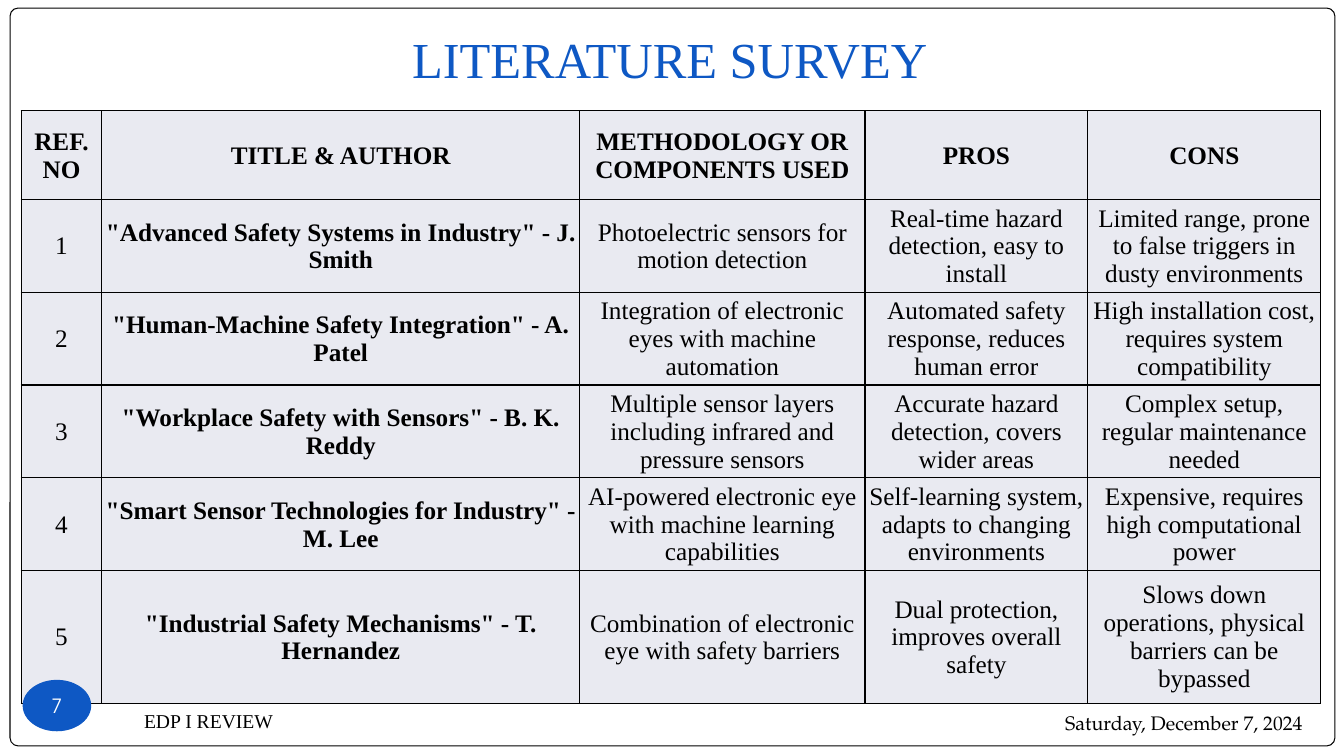
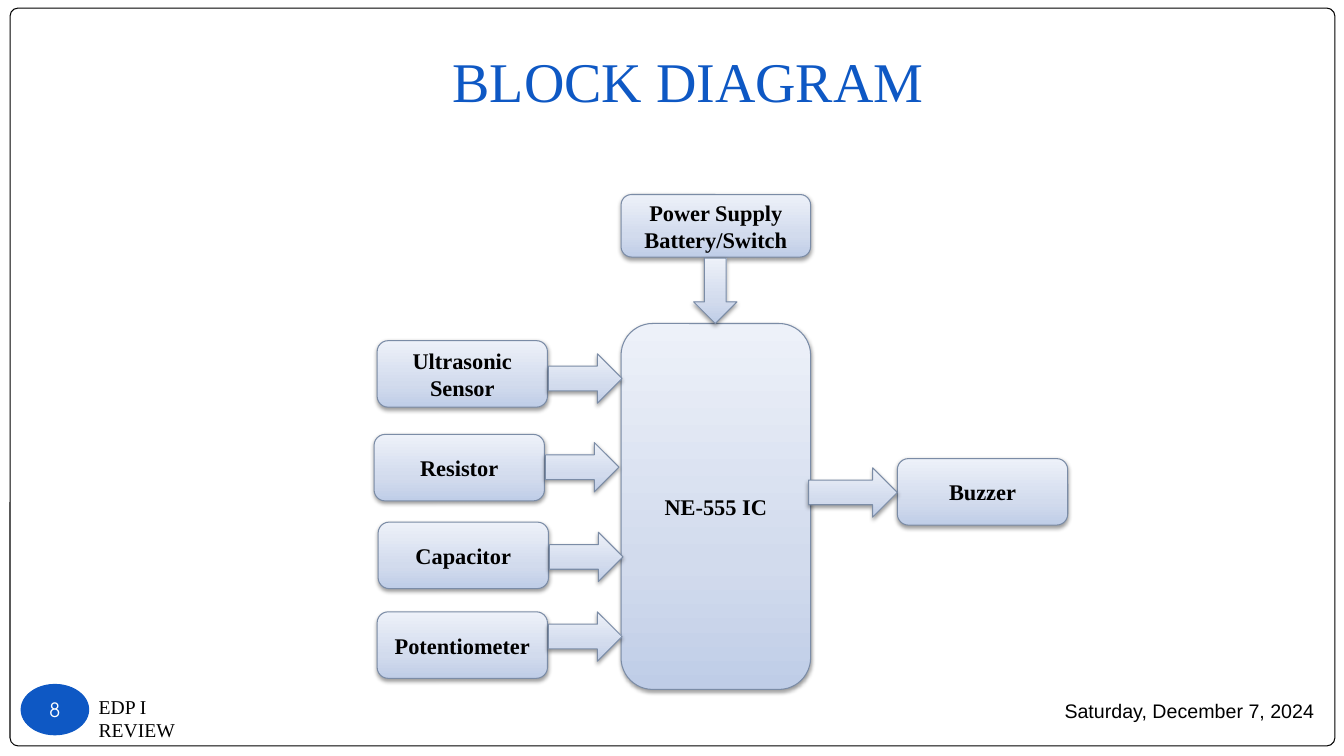
from lxml import etree
from pptx import Presentation
from pptx.dml.color import RGBColor
from pptx.enum.shapes import MSO_SHAPE as SHAPE
from pptx.enum.text import MSO_ANCHOR as ANCHOR, PP_ALIGN as ALIGN
from pptx.oxml.ns import qn
from pptx.util import Inches, Pt

BLUE, BLACK, WHITE = "0E58C4", "000000", "FFFFFF"
CELL_FILL, BLOCK_LINE = "E9EAF1", "7B8CA6"
BLOCK_STOPS = [(0, "BFCDE7"), (35, "D2DBED"), (100, "EDF1F9")]
SERIF, DATE_FONT, NUMBER_FONT = "Times New Roman", "TeX Gyre Pagella", "TeX Gyre Adventor"
DATE = "Saturday, December 7, 2024"
FOOTER = "EDP I REVIEW"

COLUMNS = [0.8, 4.74, 2.83, 2.21, 2.31]
ROWS = [0.88, 0.92, 0.92, 0.92, 0.92, 1.32]
SURVEY = [
    ["REF. NO", "TITLE & AUTHOR", "METHODOLOGY OR COMPONENTS USED", "PROS", "CONS"],
    ["1", '"Advanced Safety Systems in Industry" - J. Smith',
     "Photoelectric sensors for motion detection",
     "Real-time hazard detection, easy to install",
     "Limited range, prone to false triggers in dusty environments"],
    ["2", '"Human-Machine Safety Integration" - A. Patel',
     "Integration of electronic eyes with machine automation",
     "Automated safety response, reduces human error",
     "High installation cost, requires system compatibility"],
    ["3", '"Workplace Safety with Sensors" - B. K. Reddy',
     "Multiple sensor layers including infrared and pressure sensors",
     "Accurate hazard detection, covers wider areas",
     "Complex setup, regular maintenance needed"],
    ["4", '"Smart Sensor Technologies for Industry" - M. Lee',
     "AI-powered electronic eye with machine learning capabilities",
     "Self-learning system, adapts to changing environments",
     "Expensive, requires high computational power"],
    ["5", '"Industrial Safety Mechanisms" - T. Hernandez',
     "Combination of electronic eye with safety barriers",
     "Dual protection, improves overall safety",
     "Slows down operations, physical barriers can be bypassed"],
]

BLOCK_W, BLOCK_H = 1.69, 0.66
ARROW_W, ARROW_H = 0.73, 0.49
CHIP_X, CHIP_W = 6.16, 1.88
# label, block left, block top, arrow top
INPUTS = [
    ("Ultrasonic Sensor", 3.74, 3.38, 3.51),
    ("Resistor", 3.71, 4.31, 4.39),
    ("Capacitor", 3.75, 5.18, 5.28),
    ("Potentiometer", 3.74, 6.07, 6.07),
]


def rgb(value):
    return RGBColor.from_string(value)


def add_xml(parent, tag, **attrs):
    return etree.SubElement(parent, qn(tag), {k: str(v) for k, v in attrs.items()})


class Deck:
    def __init__(self):
        self.prs = Presentation()
        self.prs.slide_width, self.prs.slide_height = Inches(13.33), Inches(7.5)
        self.s = None

    def slide(self):
        """Start a blank slide with the rounded page frame."""
        self.s = self.prs.slides.add_slide(self.prs.slide_layouts[6])
        frame = self.shape(SHAPE.ROUNDED_RECTANGLE, 0.1, 0.08, 13.14, 7.32, WHITE, BLACK)
        frame.adjustments[0] = 0.011

    def style(self, tf, text, size, font=SERIF, color=BLACK, bold=False,
              align=ALIGN.CENTER, anchor=ANCHOR.MIDDLE):
        tf.text = text
        tf.word_wrap = True
        tf.vertical_anchor = anchor
        for p in tf.paragraphs:
            p.alignment = align
            for r in p.runs:
                r.font.size, r.font.name, r.font.bold = Pt(size), font, bold
                r.font.color.rgb = rgb(color)

    def text(self, x, y, w, h, text, size, **style):
        box = self.s.shapes.add_textbox(Inches(x), Inches(y), Inches(w), Inches(h))
        self.style(box.text_frame, text, size, **style)
        return box.text_frame

    def shape(self, kind, x, y, w, h, fill, line):
        sp = self.s.shapes.add_shape(kind, Inches(x), Inches(y), Inches(w), Inches(h))
        sp.shadow.inherit = False
        sp.fill.solid()
        sp.fill.fore_color.rgb = rgb(fill)
        sp.line.color.rgb = rgb(line)
        sp.line.width = Pt(0.75)
        return sp

    def title(self, x, y, w, h, text, size):
        tf = self.text(x, y, w, h, text, size, color=BLUE, anchor=ANCHOR.BOTTOM)
        tf.margin_bottom = Inches(0.1)

    def page_number(self, x, y, number):
        sp = self.shape(SHAPE.OVAL, x, y, 0.67, 0.5, BLUE, BLUE)
        tf = sp.text_frame
        tf.margin_left = tf.margin_right = tf.margin_top = tf.margin_bottom = 0
        self.style(tf, number, 14, font=NUMBER_FONT, color=WHITE)

    def block(self, kind, x, y, w, h, text=""):
        """Add a box or arrow with the gradient and soft shadow of the diagram."""
        sp = self.shape(kind, x, y, w, h, WHITE, BLOCK_LINE)
        sp.fill.gradient()
        sp.fill.gradient_angle = 90
        sp_pr = sp._element.spPr
        stops = sp_pr.find(".//" + qn("a:gsLst"))
        for stop in list(stops):
            stops.remove(stop)
        for pos, color in BLOCK_STOPS:
            add_xml(add_xml(stops, "a:gs", pos=pos * 1000), "a:srgbClr", val=color)
        shadow = add_xml(sp_pr.find(qn("a:effectLst")), "a:outerShdw", blurRad=Pt(3.1),
                         dist=Pt(1.6), dir=90 * 60000, rotWithShape=0)
        add_xml(add_xml(shadow, "a:srgbClr", val=BLACK), "a:alpha", val=38000)
        if text:
            self.style(sp.text_frame, text, 16, bold=True)

    def borders(self, cell):
        tc_pr = cell._tc.get_or_add_tcPr()
        for i, side in enumerate(("a:lnL", "a:lnR", "a:lnT", "a:lnB")):
            ln = etree.Element(qn(side), w=str(Pt(1)))
            add_xml(add_xml(ln, "a:solidFill"), "a:srgbClr", val=BLACK)
            tc_pr.insert(i, ln)

    def table(self, x, y, widths, heights, data):
        table = self.s.shapes.add_table(
            len(heights), len(widths), Inches(x), Inches(y),
            Inches(sum(widths)), Inches(sum(heights))).table
        for column, w in zip(table.columns, widths):
            column.width = Inches(w)
        for row, h in zip(table.rows, heights):
            row.height = Inches(h)
        for i, texts in enumerate(data):
            for j, text in enumerate(texts):
                cell = table.cell(i, j)
                cell.margin_left = cell.margin_right = cell.margin_top = Inches(0.01)
                cell.margin_bottom = 0
                self.style(cell.text_frame, text, 18, bold=i == 0 or j == 1)
                cell.vertical_anchor = ANCHOR.MIDDLE
                cell.fill.solid()
                cell.fill.fore_color.rgb = rgb(CELL_FILL)
                self.borders(cell)
        return table


def literature_survey(deck):
    deck.slide()
    deck.text(9.41, 6.91, 3.61, 0.52, DATE, 14, font=DATE_FONT, align=ALIGN.RIGHT)
    deck.text(1.33, 6.9, 5.78, 0.5, FOOTER, 14, align=ALIGN.LEFT)
    deck.title(0.98, 0.06, 11.33, 0.92, "LITERATURE SURVEY", 36)
    table = deck.table(0.21, 1.1, COLUMNS, ROWS, SURVEY)
    last = table.cell(len(ROWS) - 1, len(COLUMNS) - 1)
    last.margin_left = last.margin_right = Inches(0.1)
    last.margin_top = last.margin_bottom = Inches(0.05)
    deck.page_number(0.23, 6.75, "7")


def block_diagram(deck):
    deck.slide()
    deck.title(1.16, -0.02, 11.33, 1.25, "BLOCK DIAGRAM", 40)
    deck.page_number(0.21, 6.79, "8")
    deck.text(0.88, 6.84, 1.39, 0.54, FOOTER, 14, align=ALIGN.LEFT, anchor=ANCHOR.TOP)
    deck.text(10.46, 6.79, 3.03, 0.52, DATE, 14, font="Arial", align=ALIGN.LEFT)

    box = SHAPE.ROUNDED_RECTANGLE
    deck.block(box, CHIP_X, 3.21, CHIP_W, 3.63, "NE-555 IC")
    deck.block(box, CHIP_X, 1.93, CHIP_W, 0.62, "Power Supply\nBattery/Switch")
    deck.block(SHAPE.DOWN_ARROW, 6.88, 2.56, 0.43, 0.65)
    for label, x, y, arrow_y in INPUTS:
        deck.block(box, x, y, BLOCK_W, BLOCK_H, label)
        deck.block(SHAPE.RIGHT_ARROW, x + BLOCK_W + 0.01, arrow_y, ARROW_W, ARROW_H)
    deck.block(box, 8.9, 4.55, BLOCK_W, BLOCK_H, "Buzzer")
    deck.block(SHAPE.RIGHT_ARROW, 8.02, 4.64, 0.88, ARROW_H)


def main():
    deck = Deck()
    literature_survey(deck)
    block_diagram(deck)
    deck.prs.save("out.pptx")


if __name__ == "__main__":
    main()
